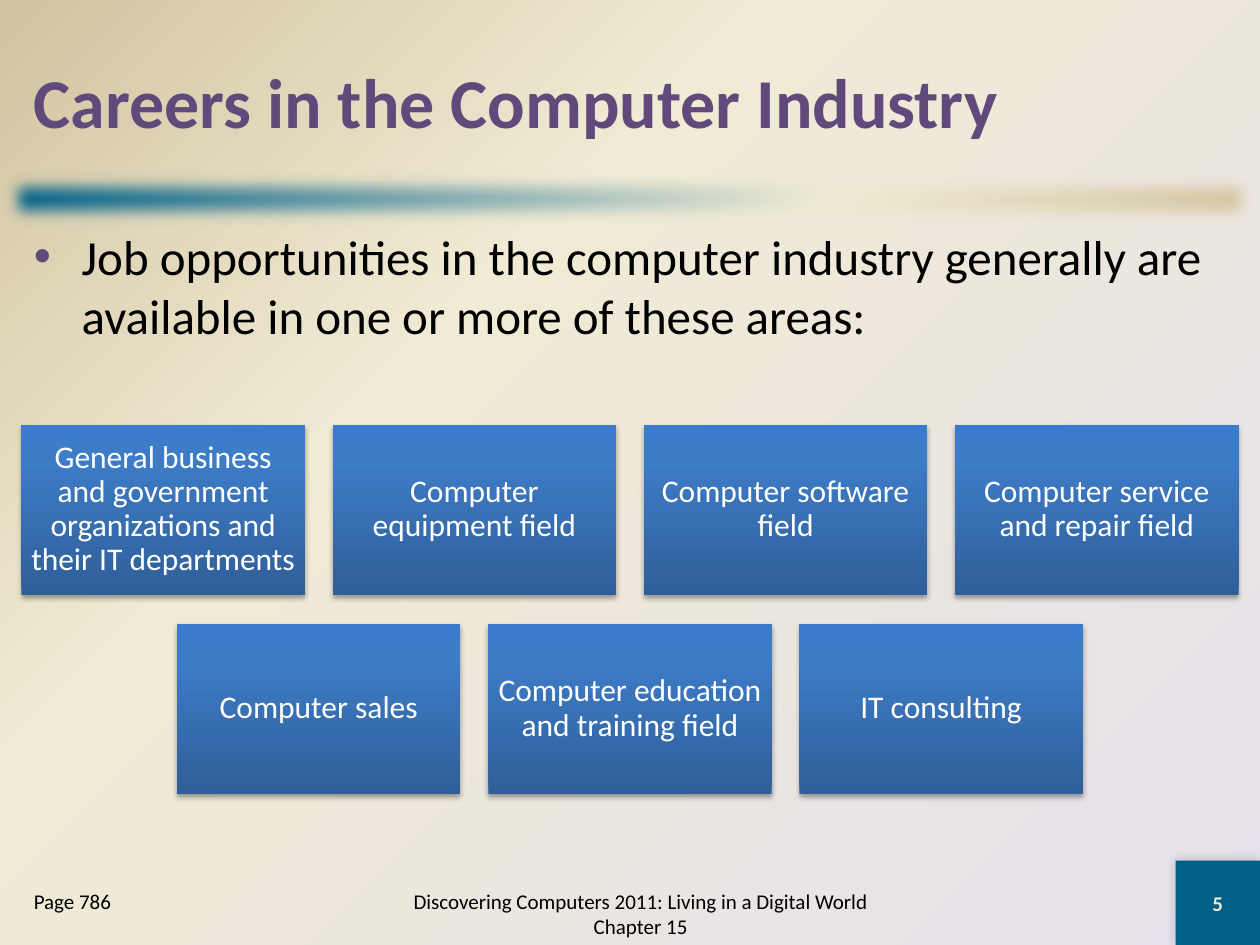
from lxml import etree
from pptx import Presentation
from pptx.dml.color import RGBColor
from pptx.enum.shapes import MSO_SHAPE
from pptx.enum.text import MSO_ANCHOR, PP_ALIGN
from pptx.oxml import parse_xml
from pptx.oxml.ns import nsdecls, qn
from pptx.util import Inches, Pt

PURPLE = RGBColor(0x60, 0x4A, 0x7B)
TEAL = RGBColor(0x00, 0x5F, 0x86)
CREAM = RGBColor(0xF0, 0xEB, 0xD5)
TAN = RGBColor(0xD1, 0xC3, 0x9F)
LAVENDER = RGBColor(0xE6, 0xE0, 0xEC)
PALE_YELLOW = RGBColor(0xEE, 0xEB, 0xCA)
DARK_BLUE = RGBColor(0x2F, 0x5F, 0x99)
MID_BLUE = RGBColor(0x3D, 0x7C, 0xC7)
BRIGHT_BLUE = RGBColor(0x3A, 0x7C, 0xCB)
BLACK = RGBColor(0, 0, 0)
WHITE = RGBColor(255, 255, 255)


def set_gradient(fill, owner, stops, direction):
    """Fill with (percent, colour) stops; direction is the a:lin or a:path element."""
    fill.gradient()
    stop_xml = "".join(
        f'<a:gs pos="{percent * 1000}"><a:srgbClr val="{color}"/></a:gs>'
        for percent, color in stops)
    old = owner.find(".//" + qn("a:gradFill"))
    old.getparent().replace(old, parse_xml(
        f'<a:gradFill {nsdecls("a")} rotWithShape="1">'
        f"<a:gsLst>{stop_xml}</a:gsLst>{direction}</a:gradFill>"))


def write(shape, text, size, color, bold=False, align=PP_ALIGN.LEFT,
          anchor=MSO_ANCHOR.MIDDLE):
    frame = shape.text_frame
    frame.word_wrap = True
    frame.vertical_anchor = anchor
    frame.text = text
    paragraph = frame.paragraphs[0]
    paragraph.alignment = align
    font = paragraph.runs[0].font
    font.name, font.size, font.bold = "Calibri", Pt(size), bold
    font.color.rgb = color
    return paragraph


prs = Presentation()
prs.slide_width, prs.slide_height = Inches(10), Inches(7.5)
slide = prs.slides.add_slide(prs.slide_layouts[6])
shapes = slide.shapes

set_gradient(slide.background.fill, slide.element,
             [(0, LAVENDER), (65, CREAM), (100, TAN)],
             '<a:path path="circle"><a:fillToRect l="100000" t="100000"/></a:path>')

# Soft-edged divider under the title
divider = shapes.add_shape(MSO_SHAPE.RECTANGLE, 0, Inches(1.33), Inches(10), Inches(0.5))
set_gradient(divider.fill, divider.element,
             [(0, TEAL), (65, CREAM), (100, TAN)], '<a:lin ang="2700000" scaled="1"/>')
divider.line.fill.background()
divider.shadow.inherit = False
effects = divider.element.spPr.find(qn("a:effectLst"))
etree.SubElement(effects, qn("a:softEdge"), rad="127000")

# Slide number
number_box = shapes.add_shape(MSO_SHAPE.RECTANGLE, Inches(9.33), Inches(6.83),
                              Inches(0.67), Inches(0.67))
number_box.fill.solid()
number_box.fill.fore_color.rgb = TEAL
number_box.line.fill.background()
write(number_box, "5", 12, PALE_YELLOW, bold=True, align=PP_ALIGN.CENTER)

# Title, body and footers
title = shapes.add_textbox(Inches(0.17), Inches(0.17), Inches(9.67), Inches(1.25))
write(title, "Careers in the Computer Industry", 40, PURPLE, bold=True)

body = shapes.add_textbox(Inches(0.17), Inches(1.75), Inches(9.67), Inches(1.5))
intro = write(body, "Job opportunities in the computer industry generally are "
              "available in one or more of these areas:", 28, BLACK,
              anchor=MSO_ANCHOR.TOP)
intro_props = intro._p.get_or_add_pPr()
intro_props.set("marL", str(Inches(0.38)))
intro_props.set("indent", str(-Inches(0.38)))
bullet_color = etree.SubElement(intro_props, qn("a:buClr"))
etree.SubElement(bullet_color, qn("a:srgbClr"), val=str(PURPLE))
etree.SubElement(intro_props, qn("a:buFont"), typeface="Arial")
etree.SubElement(intro_props, qn("a:buChar"), char="•")

page_ref = shapes.add_textbox(Inches(0.17), Inches(7), Inches(1.83), Inches(0.5))
write(page_ref, "Page 786", 12, BLACK, anchor=MSO_ANCHOR.TOP)

book_ref = shapes.add_textbox(Inches(3), Inches(7), Inches(4.17), Inches(0.5))
write(book_ref, "Discovering Computers 2011: Living in a Digital World Chapter 15",
      12, BLACK, align=PP_ALIGN.CENTER)

# Career areas, each row centred on the slide
CARD_W, CARD_H, GAP = 2.25, 1.35, 0.22
career_rows = [
    (3.37, ["General business and government organizations and their IT departments",
            "Computer equipment field",
            "Computer software field",
            "Computer service and repair field"]),
    (4.95, ["Computer sales",
            "Computer education and training field",
            "IT consulting"]),
]
cards = []
for top, areas in career_rows:
    row_width = len(areas) * (CARD_W + GAP) - GAP
    for column, area in enumerate(areas):
        left = (10 - row_width) / 2 + column * (CARD_W + GAP)
        card = shapes.add_shape(MSO_SHAPE.RECTANGLE, Inches(left), Inches(top),
                                Inches(CARD_W), Inches(CARD_H))
        set_gradient(card.fill, card.element,
                     [(0, DARK_BLUE), (80, MID_BLUE), (100, BRIGHT_BLUE)],
                     '<a:lin ang="16200000" scaled="0"/>')
        card.line.fill.background()
        frame = card.text_frame
        frame.margin_left = frame.margin_right = Inches(0.07)
        frame.margin_top = frame.margin_bottom = Inches(0.07)
        write(card, area, 18, WHITE, align=PP_ALIGN.CENTER).line_spacing = 0.9
        cards.append(card)

# Shadows: opacity percent, blur, distance, direction in degrees
shadows = [(number_box, 20, 6, 0, 225)] + [(card, 35, 3.1, 1.8, 90) for card in cards]
for shape, opacity, blur, distance, angle in shadows:
    shape.shadow.inherit = False
    effects = shape.element.spPr.find(qn("a:effectLst"))
    shadow = etree.SubElement(effects, qn("a:outerShdw"), blurRad=str(Pt(blur)),
                              dist=str(Pt(distance)), dir=str(angle * 60000),
                              rotWithShape="0")
    shadow_color = etree.SubElement(shadow, qn("a:srgbClr"), val=str(BLACK))
    etree.SubElement(shadow_color, qn("a:alpha"), val=str(opacity * 1000))

prs.save("out.pptx")
